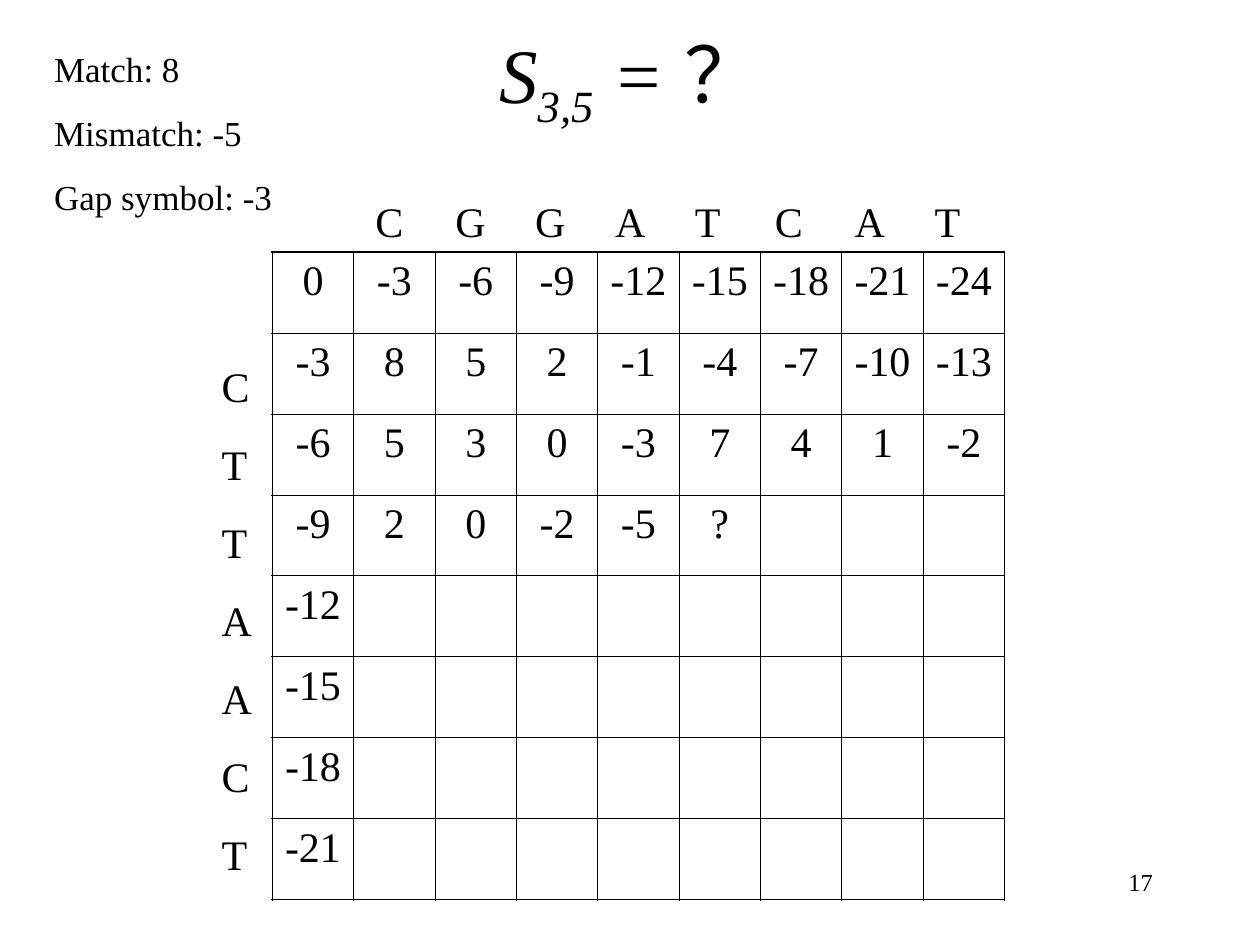
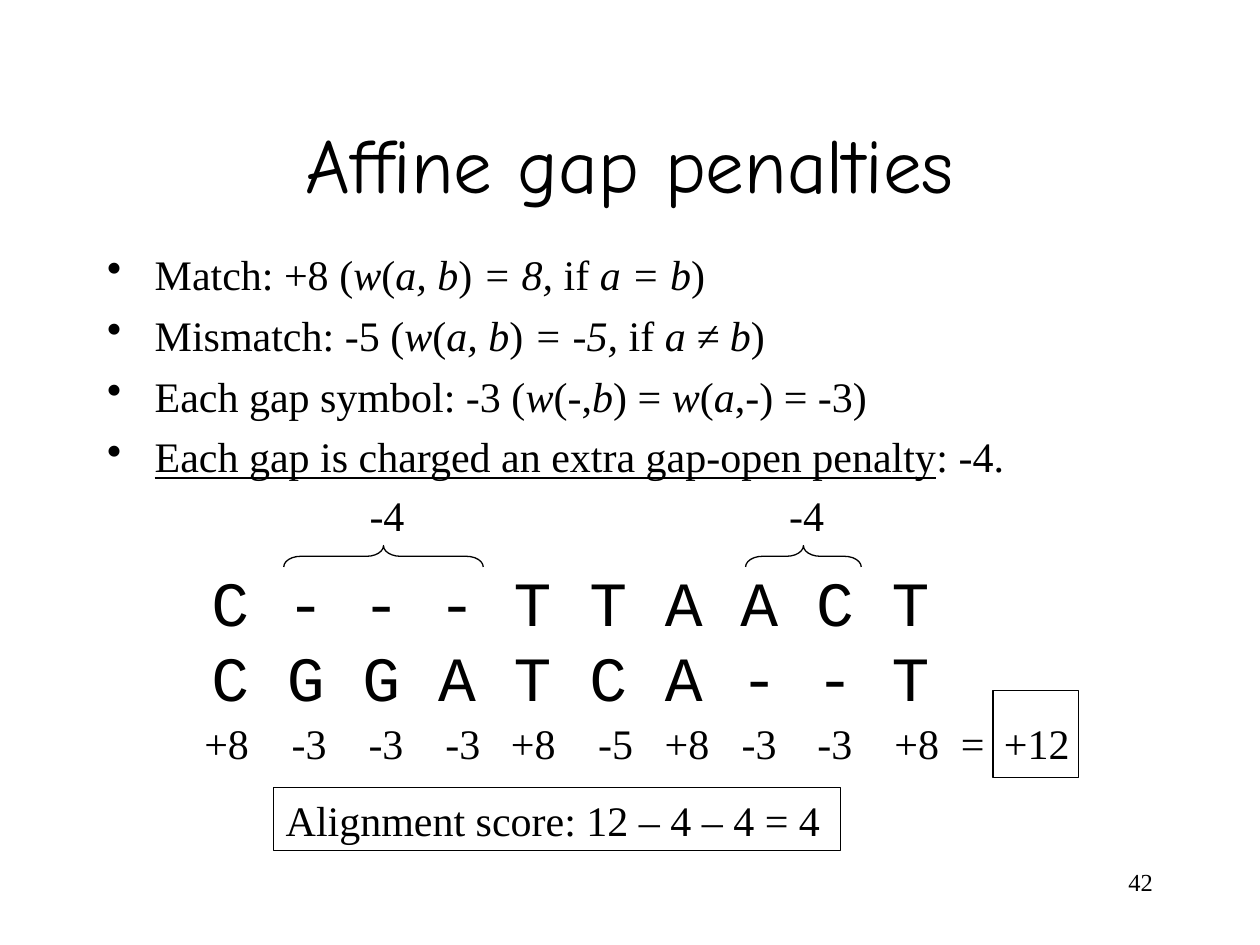
from dataclasses import dataclass
from typing import Sequence, Union

import lxml.etree
import pptx
import pptx.dml.color
import pptx.enum.shapes
import pptx.enum.text
import pptx.oxml.ns
import pptx.util

Cm = pptx.util.Cm
Pt = pptx.util.Pt
ALIGN = pptx.enum.text.PP_ALIGN
ANCHOR = pptx.enum.text.MSO_ANCHOR
SHAPE = pptx.enum.shapes.MSO_SHAPE


@dataclass(frozen=True)
class Theme:
    ink: pptx.dml.color.RGBColor = pptx.dml.color.RGBColor(0, 0, 0)
    serif: str = "Times New Roman"
    mono: str = "Courier New"
    display: str = "Comic Neue"
    title: float = 44
    sequence: float = 36
    body: float = 24
    legend: float = 20
    number: float = 14
    outline: float = 0.75
    grid: float = 0.45
    frame: float = 1.08


THEME = Theme()


@dataclass(frozen=True)
class Box:
    """A rectangle in centimetres."""
    left: float
    top: float
    width: float
    height: float

    def lengths(self) -> list:
        return [Cm(n) for n in (self.left, self.top, self.width, self.height)]


@dataclass(frozen=True)
class Run:
    text: str
    italic: bool = False
    underline: bool = False
    baseline: int = 0


@dataclass(frozen=True)
class Gap:
    """A brace over a gap and the place of its penalty label."""
    brace: Box
    label: Box


Paragraph = Union[str, Sequence[Run]]


def add_child(parent, tag: str, **attributes: str):
    child = lxml.etree.SubElement(parent, pptx.oxml.ns.qn(tag))
    for key, value in attributes.items():
        child.set(key, value)
    return child


def write(frame, paragraphs: Sequence[Paragraph], *, size: float = THEME.body,
          font: str = THEME.serif, align=ALIGN.LEFT, anchor=ANCHOR.TOP,
          before: float = 0, spacing: float = 1, bullet_indent: float = 0,
          tabs: Sequence[float] = (), wrap: bool = True) -> None:
    """Fill a text frame; a newline inside a run becomes a line break."""
    frame.word_wrap = wrap
    frame.vertical_anchor = anchor
    for index, content in enumerate(paragraphs):
        paragraph = frame.paragraphs[0] if index == 0 else frame.add_paragraph()
        paragraph.alignment = align
        paragraph.line_spacing = spacing
        paragraph.space_before = Pt(before if index else 0)
        properties = paragraph._p.get_or_add_pPr()
        if bullet_indent:
            properties.set("marL", str(Cm(bullet_indent)))
            properties.set("indent", str(-Cm(bullet_indent)))
            add_child(properties, "a:buChar", char="•")
        if tabs:
            stops = add_child(properties, "a:tabLst")
            for stop in tabs:
                add_child(stops, "a:tab", pos=str(Cm(stop)), algn="l")
        for part in [Run(content)] if isinstance(content, str) else content:
            for number, line in enumerate(part.text.split("\n")):
                if number:
                    paragraph.add_line_break()
                run = paragraph.add_run()
                run.text = line
                run.font.name = font
                run.font.size = Pt(size)
                run.font.color.rgb = THEME.ink
                run.font.italic = part.italic
                run.font.underline = part.underline
                if part.baseline:
                    run._r.get_or_add_rPr().set("baseline", str(part.baseline * 1000))


def add_text(slide, box: Box, paragraphs: Sequence[Paragraph], **style) -> None:
    write(slide.shapes.add_textbox(*box.lengths()).text_frame, paragraphs, **style)


def add_outline(slide, kind, box: Box):
    shape = slide.shapes.add_shape(kind, *box.lengths())
    shape.shadow.inherit = False
    shape.fill.background()
    shape.line.color.rgb = THEME.ink
    shape.line.width = Pt(THEME.outline)
    return shape


def add_brace(slide, box: Box) -> None:
    """Draw an upward brace that spans the box."""
    middle_x, middle_y = box.left + box.width / 2, box.top + box.height / 2
    upright = Box(middle_x - box.height / 2, middle_y - box.width / 2, box.height, box.width)
    brace = add_outline(slide, SHAPE.LEFT_BRACE, upright)
    brace.rotation = 90
    brace.adjustments[0] = 0.79


def add_slide(deck, number: int, title: Paragraph, title_top: float, title_font: str):
    slide = deck.slides.add_slide(deck.slide_layouts[6])
    add_text(slide, Box(18.21, 17.35, 5.28, 1.27), [str(number)],
             size=THEME.number, align=ALIGN.RIGHT)
    add_text(slide, Box(1.91, title_top, 21.59, 3.18), [title], size=THEME.title,
             font=title_font, align=ALIGN.CENTER, anchor=ANCHOR.MIDDLE)
    return slide


def alternate(*pieces: str) -> list[Run]:
    """Make runs that switch between upright and italic, upright first."""
    return [Run(piece, italic=index % 2 == 1) for index, piece in enumerate(pieces)]


def set_borders(cell, widths: dict[str, float]) -> None:
    properties = cell._tc.get_or_add_tcPr()
    for index, (side, width) in enumerate(widths.items()):
        line = lxml.etree.Element(pptx.oxml.ns.qn(f"a:ln{side}"))
        line.set("w", str(Pt(width)))
        add_child(add_child(line, "a:solidFill"), "a:srgbClr", val=str(THEME.ink))
        properties.insert(index, line)


def add_score_matrix(slide, rows: Sequence[Sequence[str]], box: Box) -> None:
    height, width = len(rows), len(rows[0])
    table = slide.shapes.add_table(height, width, *box.lengths()).table
    table.first_row = table.horz_banding = False
    for column in table.columns:
        column.width = Cm(box.width / width)
    for row in table.rows:
        row.height = Cm(box.height / height)
    for i, scores in enumerate(rows):
        for j, score in enumerate(scores):
            cell = table.cell(i, j)
            cell.fill.background()
            on_frame = {"L": j == 0, "R": j == width - 1, "T": i == 0, "B": i == height - 1}
            set_borders(cell, {side: THEME.frame if outer else THEME.grid
                               for side, outer in on_frame.items()})
            if score:
                write(cell.text_frame, [score], align=ALIGN.CENTER)


def build_matrix_slide(deck) -> None:
    title = [Run("S", italic=True), Run("3,5", italic=True, baseline=-25),
             Run(" = ", italic=True), Run("？")]
    slide = add_slide(deck, 17, title, 0, THEME.serif)
    across, down, gap_score = "CGGATCAT", "CTTAACT", -3
    known = [[8, 5, 2, -1, -4, -7, -10, -13],
             [5, 3, 0, -3, 7, 4, 1, -2],
             [2, 0, -2, -5, "?"]]
    rows = [[str(gap_score * j) for j in range(len(across) + 1)]]
    for i in range(len(down)):
        scores = [str(score) for score in known[i]] if i < len(known) else []
        blanks = [""] * (len(across) - len(scores))
        rows.append([str(gap_score * (i + 1)), *scores, *blanks])
    add_score_matrix(slide, rows, Box(5.49, 5.08, 14.76, 13.06))
    letter_pitch = 1.61
    add_text(slide, Box(7.32, 3.81, 15.93, 1.27), ["\t".join(across)],
             tabs=[letter_pitch * k for k in range(1, len(across))])
    add_text(slide, Box(4.22, 6.58, 1.42, 11.28), ["\n".join(down)], spacing=1.55)
    add_text(slide, Box(0.84, 0.84, 5.28, 3.68),
             ["Match: 8", "Mismatch: -5", "Gap symbol: -3"],
             size=THEME.legend, before=12.5)


def build_affine_slide(deck) -> None:
    slide = add_slide(deck, 42, "Affine gap penalties", 1.7, THEME.display)
    add_text(slide, Box(1.91, 4.88, 21.59, 11.43), [
        alternate("Match: +8 (", "w", "(", "a, b", ") ", "= 8, ", "if ", "a = b", ")"),
        alternate("Mismatch: -5 (", "w", "(", "a, b", ") ", "= -5, ", "if ", "a ≠ b", ")"),
        alternate("Each gap symbol: -3 (", "w", "(-,", "b", ") = ", "w", "(", "a", ",-) = -3)"),
        [Run("Each gap is charged an extra gap-open penalty", underline=True), Run(": -4.")],
    ], before=6, bullet_indent=0.96)
    add_text(slide, Box(4.01, 11.23, 19.13, 3.3),
             ["C - - - T T A A C T\nC G G A T C A - - T"],
             size=THEME.sequence, font=THEME.mono)
    scores = ["+8", "-3", "-3", "-3", "+8", "-5", "+8", "-3", "-3", "+8", "=", "+12"]
    add_text(slide, Box(3.45, 14.33, 18.9, 1.27), ["\t" + "\t".join(scores)],
             tabs=[0.42, 2.18, 3.73, 5.28, 6.6, 8.36, 9.7, 11.25, 12.78, 14.33, 15.67, 16.54])
    add_outline(slide, SHAPE.RECTANGLE, Box(20.02, 13.92, 1.73, 1.75))
    for gap in (Gap(Box(5.72, 11.0, 4.02, 0.43), Box(7.2, 9.74, 1.48, 1.27)),
                Gap(Box(15.03, 11.0, 2.33, 0.43), Box(15.66, 9.74, 1.48, 1.27))):
        add_brace(slide, gap.brace)
        add_text(slide, gap.label, ["-4"])
    total = add_outline(slide, SHAPE.RECTANGLE, Box(5.51, 15.88, 11.43, 1.27))
    write(total.text_frame, ["Alignment score: 12 – 4 – 4 = 4"],
          anchor=ANCHOR.MIDDLE, wrap=False)


def main() -> None:
    deck = pptx.Presentation()
    deck.slide_width, deck.slide_height = Cm(25.4), Cm(19.05)
    build_matrix_slide(deck)
    build_affine_slide(deck)
    deck.save("out.pptx")


if __name__ == "__main__":
    main()
